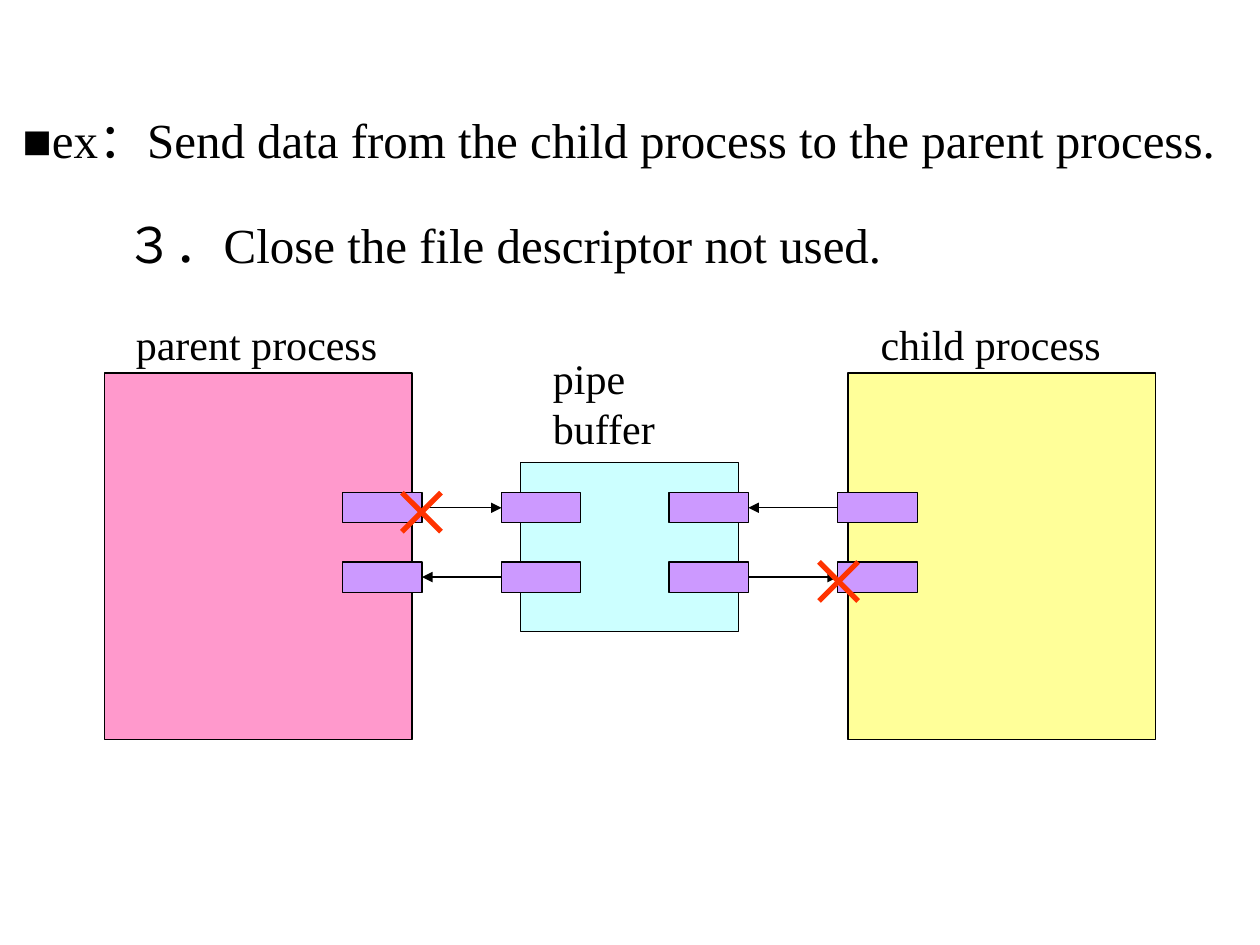
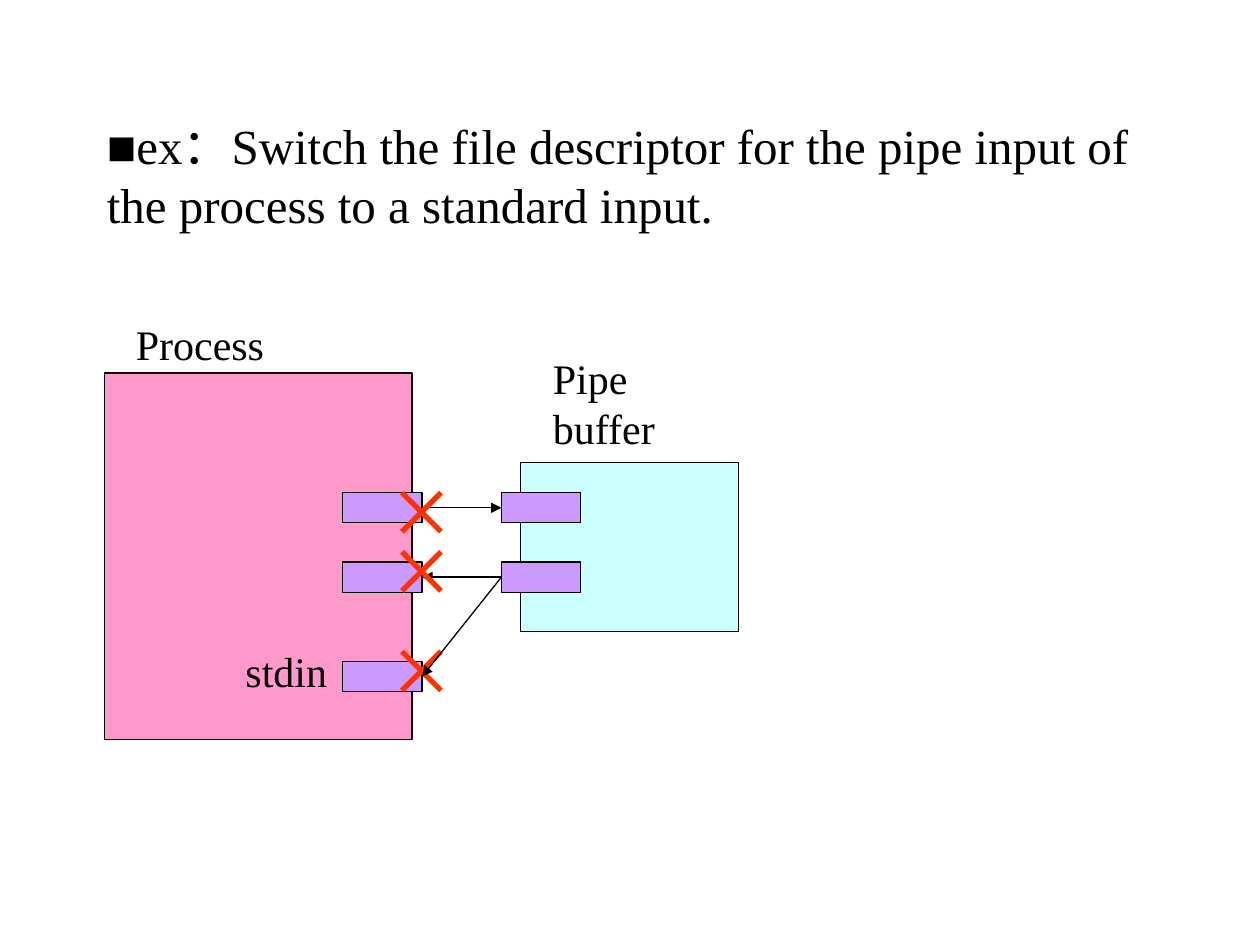
from dataclasses import dataclass

import lxml.etree
import pptx
import pptx.dml.color
import pptx.enum.shapes
import pptx.enum.text
import pptx.oxml.ns
import pptx.util
from pptx.util import Inches

RGBColor = pptx.dml.color.RGBColor
MSO_SHAPE = pptx.enum.shapes.MSO_SHAPE

BLACK = RGBColor(0x00, 0x00, 0x00)
PINK = RGBColor(0xFF, 0x99, 0xCC)
CYAN = RGBColor(0xCC, 0xFF, 0xFF)
YELLOW = RGBColor(0xFF, 0xFF, 0x99)
PURPLE = RGBColor(0xCC, 0x99, 0xFF)
RED = RGBColor(0xFF, 0x33, 0x00)

FONT = "Times New Roman"
HEADING_PT = 28
LABEL_PT = 24
TEXT_H = 0.63
PORT_W, PORT_H = 0.63, 0.24
CROSS_SIZE = 0.31
LEFT, RIGHT = 1, 3

WRITE_Y, READ_Y, STDIN_Y = 3.91, 4.46, 5.25
PARENT_X, PIPE_LEFT_X, PIPE_RIGHT_X, CHILD_X = 2.72, 3.98, 5.31, 6.65
PARENT_CROSS_X, CHILD_CROSS_X = 3.19, 6.5


@dataclass(frozen=True)
class Box:
    x: float
    y: float
    w: float
    h: float
    fill: RGBColor


@dataclass(frozen=True)
class Label:
    text: str
    x: float
    y: float
    w: float
    size: int = LABEL_PT


PARENT = Box(0.83, 2.96, 2.44, 2.91, PINK)
PIPE = Box(4.13, 3.67, 1.73, 1.34, CYAN)
CHILD = Box(6.73, 2.96, 2.44, 2.91, YELLOW)


def add_box(s, box: Box, kind=MSO_SHAPE.RECTANGLE):
    sp = s.shapes.add_shape(
        kind, Inches(box.x), Inches(box.y), Inches(box.w), Inches(box.h))
    sp.shadow.inherit = False
    sp.fill.solid()
    sp.fill.fore_color.rgb = box.fill
    sp.line.color.rgb = BLACK
    sp.line.width = pptx.util.Pt(0.75)
    return sp


def add_port(s, x: float, y: float):
    return add_box(s, Box(x, y, PORT_W, PORT_H, PURPLE),
                   MSO_SHAPE.FLOWCHART_PROCESS)


def add_label(s, label: Label) -> None:
    sp = s.shapes.add_textbox(
        Inches(label.x), Inches(label.y), Inches(label.w), Inches(TEXT_H))
    tf = sp.text_frame
    tf.word_wrap = True
    tf.vertical_anchor = pptx.enum.text.MSO_ANCHOR.MIDDLE
    p = tf.paragraphs[0]
    p.text = label.text
    for r in p.runs:
        r.font.name = FONT
        r.font.size = pptx.util.Pt(label.size)
        r.font.color.rgb = BLACK


def add_line(shapes, x1: float, y1: float, x2: float, y2: float,
             color: RGBColor, width: float):
    line = shapes.add_connector(
        pptx.enum.shapes.MSO_CONNECTOR.STRAIGHT,
        Inches(x1), Inches(y1), Inches(x2), Inches(y2))
    line.line.color.rgb = color
    line.line.width = pptx.util.Pt(width)
    lxml.etree.SubElement(line._element.spPr, pptx.oxml.ns.qn("a:effectLst"))
    return line


def add_arrow(s, start, start_side: int, end, end_side: int) -> None:
    arrow = add_line(s.shapes, 0, 0, 1, 1, BLACK, 0.75)
    arrow.begin_connect(start, start_side)
    arrow.end_connect(end, end_side)
    tail = lxml.etree.SubElement(
        arrow.line._get_or_add_ln(), pptx.oxml.ns.qn("a:tailEnd"))
    tail.set("type", "triangle")


def add_cross(s, x: float, y: float) -> None:
    group = s.shapes.add_group_shape()
    right, bottom = x + CROSS_SIZE, y + CROSS_SIZE
    add_line(group.shapes, x, y, right, bottom, RED, 3)
    add_line(group.shapes, right, y, x, bottom, RED, 3)


def add_port_pairs(s, process_x: float, pipe_x: float):
    process_side, pipe_side = (
        (RIGHT, LEFT) if process_x < pipe_x else (LEFT, RIGHT))
    pipe_write, pipe_read = [add_port(s, pipe_x, y) for y in (WRITE_Y, READ_Y)]
    write, read = [add_port(s, process_x, y) for y in (WRITE_Y, READ_Y)]
    add_arrow(s, write, process_side, pipe_write, pipe_side)
    add_arrow(s, pipe_read, pipe_side, read, process_side)
    return pipe_read


def build_close_slide(s) -> None:
    for box in (PARENT, PIPE, CHILD):
        add_box(s, box)
    add_port_pairs(s, PARENT_X, PIPE_LEFT_X)
    add_port_pairs(s, CHILD_X, PIPE_RIGHT_X)
    add_cross(s, PARENT_CROSS_X, WRITE_Y)
    add_cross(s, CHILD_CROSS_X, READ_Y)
    for label in (
        Label("■ex：Send data from the child process to the parent process.",
              0.08, 0.79, 9.75, HEADING_PT),
        Label("３．Close the file descriptor not used.",
              0.9, 1.62, 8.35, HEADING_PT),
        Label("parent process", 0.98, 2.41, 2.18),
        Label("child process", 6.89, 2.41, 1.97),
        Label("pipe\vbuffer", 4.29, 2.88, 1.5),
    ):
        add_label(s, label)


def build_switch_slide(s) -> None:
    for box in (PARENT, PIPE):
        add_box(s, box)
    pipe_read = add_port_pairs(s, PARENT_X, PIPE_LEFT_X)
    stdin = add_port(s, PARENT_X, STDIN_Y)
    add_cross(s, PARENT_CROSS_X, 5.17)
    add_arrow(s, pipe_read, LEFT, stdin, RIGHT)
    for y in (4.38, WRITE_Y):
        add_cross(s, PARENT_CROSS_X, y)
    for label in (
        Label("■ex：Switch the file descriptor for the pipe input of the "
              "process to a standard input.", 0.75, 1.07, 8.35, HEADING_PT),
        Label("Process", 0.98, 2.41, 1.97),
        Label("Pipe\vbuffer", 4.29, 2.88, 1.5),
        Label("stdin", 1.85, 5.01, 0.87),
    ):
        add_label(s, label)


def main() -> None:
    prs = pptx.Presentation()
    prs.slide_width = Inches(10)
    prs.slide_height = Inches(7.5)
    for build in (build_close_slide, build_switch_slide):
        build(prs.slides.add_slide(prs.slide_layouts[6]))
    prs.save("out.pptx")


if __name__ == "__main__":
    main()
